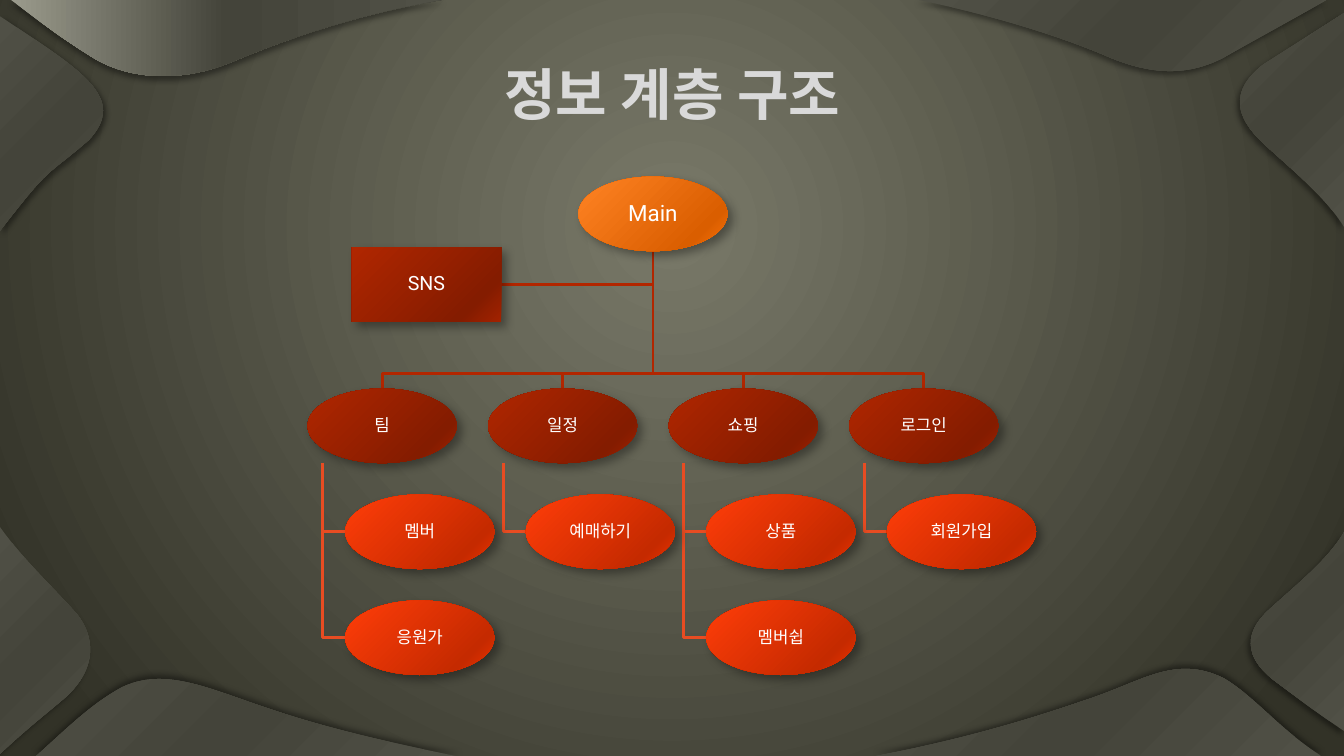
from pptx import Presentation
from pptx import util as u
from pptx.dml.color import RGBColor
from pptx.enum import shapes, text
from pptx.oxml import parse_xml
from pptx.oxml.ns import nsdecls, qn

NODE_W, NODE_H = 3.76, 1.88
COL_STEP, ROW_STEP, INDENT, STEM = 4.55, 2.67, 0.95, 0.38
ORANGE = [(0, "FF8324"), (80, "DA5E00"), (100, "FF750C")]
DARK_RED = [(0, "B02600"), (80, "841C00"), (100, "A22200")]
RED = [(0, "FF3D09"), (80, "C52A00"), (100, "F13300")]
GREY = [(0, "505046"), (50, "44443A"), (100, "505046")]
LIGHT_GREY = [(0, "9A9A8C"), (50, "44443A"), (100, "505046")]
SILVER = [(0, "FFFFFF"), (44, "D9D9D9"), (100, "808080")]
BACKDROP = [(0, "797969"), (100, "323227")]

CORNERS = [
    (LIGHT_GREY, 0, 90, [(0.28, 0), (11.13, 0), (8.89, 0.38, 7.14, 1.02, 5.87, 1.55),
                         (4.62, 2.08, 3.28, 2.03, 2.34, 1.45), (1.4, 0.86, 1.24, 0.71, 0.28, 0)]),
    (GREY, 45, 45, [(0, 0.41), (0, 2.21, 0, 4.01, 0, 5.82), (1.32, 4.11, 1.12, 4.5, 2.24, 3.53),
                    (3.23, 2.46, 2.06, 1.78, 0, 0.41)]),
    (GREY, 45, 130, [(33.43, 0), (23.16, 0), (25.12, 0.41, 26.8, 0.94, 27.97, 1.45),
                     (29.13, 1.93, 30.02, 1.88, 30.84, 1.45), (31.65, 0.99, 32.41, 0.58, 33.43, 0)]),
    (GREY, 45, 130, [(33.87, 0.33), (33.87, 2.13, 33.87, 3.91, 33.87, 5.72),
                     (33.4, 4.95, 32.49, 4.22, 31.8, 3.58),
                     (31.42, 3.2, 30.76, 2.46, 31.83, 1.63), (33.87, 0.33)]),
    (GREY, 45, 130, [(33.87, 18.42), (33.87, 16.74, 33.87, 15.09, 33.87, 13.41),
                     (33.46, 14.12, 32.61, 14.78, 31.95, 15.39),
                     (31.6, 15.72, 31.12, 16.38, 32.11, 17.15), (32.69, 17.58, 33.07, 17.88, 33.87, 18.42)]),
    (GREY, 45, 270, [(33.3, 19.05), (22.07, 19.05), (24.23, 18.64, 25.91, 18.14, 27.33, 17.65),
                     (28.75, 17.2, 29.59, 16.48, 30.84, 17.09), (31.62, 17.55, 32.26, 18.39, 33.3, 19.05)]),
    (GREY, 45, 270, [(0.89, 19.07), (11.58, 19.07), (8.97, 18.54, 7.72, 18.19, 6.4, 17.73),
                     (5.08, 17.27, 4.06, 16.84, 3.07, 17.32), (2.31, 17.73, 1.7, 18.34, 0.89, 19.07)]),
    (GREY, 45, 135, [(0, 19), (0, 17.09, 0, 15.19, 0, 13.28), (0.56, 14.07, 1.3, 14.76, 1.91, 15.44),
                     (2.24, 15.82, 2.62, 16.66, 1.68, 17.55), (1.12, 18.03, 0.76, 18.29, 0, 19)]),
]

SECTIONS = [
    ("팀", ["멤버", "응원가"]),
    ("일정", ["예매하기"]),
    ("쇼핑", ["상품", "멤버쉽"]),
    ("로그인", ["회원가입"]),
]


def rgb(value):
    return RGBColor.from_string(value)


def set_gradient(fill, element, stops, angle=None, focus=(0, 0, 100, 100)):
    fill.solid()
    gs = "".join(f'<a:gs pos="{pos * 1000}"><a:srgbClr val="{color}"/></a:gs>' for pos, color in stops)
    if angle is None:
        sides = " ".join(f'{side}="{v * 1000}"' for side, v in zip("ltrb", focus))
        shade = f'<a:path path="circle"><a:fillToRect {sides}/></a:path>'
    else:
        shade = f'<a:lin ang="{angle * 60000}" scaled="0"/>'
    solid = next(element.iter(qn("a:solidFill")))
    solid.getparent().replace(solid, parse_xml(
        f'<a:gradFill {nsdecls("a")} rotWithShape="1"><a:gsLst>{gs}</a:gsLst>{shade}</a:gradFill>'))


def set_shadow(sp, alpha, blur, dist, angle):
    sp.shadow.inherit = False
    sp.element.spPr.find(qn("a:effectLst")).append(parse_xml(
        f'<a:outerShdw {nsdecls("a")} blurRad="{u.Pt(blur)}" dist="{u.Pt(dist)}" dir="{angle * 60000}" '
        f'algn="ctr" rotWithShape="0"><a:srgbClr val="000000"><a:alpha val="{alpha * 1000}"/>'
        '</a:srgbClr></a:outerShdw>'))


def add_text(tf, content, size=12, font="Roboto", color="FFFFFF", bold=False, spacing=0.9):
    tf.word_wrap = True
    tf.vertical_anchor = text.MSO_ANCHOR.MIDDLE
    p = tf.paragraphs[0]
    p.alignment = text.PP_ALIGN.CENTER
    p.line_spacing = spacing
    r = p.add_run()
    r.text = content
    r.font.size, r.font.name, r.font.bold = u.Pt(size), font, bold
    r.font.color.rgb = rgb(color)
    return r


def add_outline(s, points, close):
    pts = [(u.Cm(x), u.Cm(y)) for x, y in points]
    builder = s.shapes.build_freeform(*pts[0])
    builder.add_line_segments(pts[1:], close=close)
    return builder.convert_to_shape()


def add_curved_outline(s, segments):
    points = [seg[i:i + 2] for seg in segments for i in range(0, len(seg), 2)]
    sp = add_outline(s, points, True)
    lines = iter(list(sp.element.iter(qn("a:lnTo"))))
    for seg in segments[1:]:
        line = next(lines)
        if len(seg) == 6:
            curve = parse_xml(f'<a:cubicBezTo {nsdecls("a")}/>')
            line.addprevious(curve)
            for part in (line, next(lines), next(lines)):
                curve.append(part[0])
                part.getparent().remove(part)
    return sp


def add_backdrop(prs, s):
    master = prs.slide_master
    set_gradient(master.background.fill, master.element, BACKDROP, focus=(50, 30, 50, 70))
    for stops, angle, shadow_angle, segments in CORNERS:
        sp = add_curved_outline(s, segments)
        set_gradient(sp.fill, sp.element, stops, angle)
        sp.line.fill.background()
        set_shadow(sp, 40, 4, 3, shadow_angle)
        master.shapes.element.append(sp.element)


def add_title(s, left, top, width, height):
    sp = s.shapes.title
    sp.left, sp.top, sp.width, sp.height = map(u.Cm, (left, top, width, height))
    r = add_text(sp.text_frame, "정보 계층 구조", size=40, font="Lato", bold=True, spacing=1)
    set_gradient(r.font.fill, sp.element, SILVER, 90)
    latin = next(sp.element.iter(qn("a:latin")))
    latin.addnext(parse_xml(f'<a:ea {nsdecls("a")} typeface="Roboto"/>'))


def add_branch(s, points, color):
    sp = add_outline(s, points, False)
    sp.fill.background()
    sp.line.color.rgb = rgb(color)
    sp.line.width = u.Pt(2)
    sp.shadow.inherit = False


def add_node(s, left, top, label, stops, size=12, kind=shapes.MSO_SHAPE.FLOWCHART_CONNECTOR):
    sp = s.shapes.add_shape(kind, *map(u.Cm, (left, top, NODE_W, NODE_H)))
    set_gradient(sp.fill, sp.element, stops)
    sp.line.fill.background()
    set_shadow(sp, 35, 7, 5, 45)
    tf = sp.text_frame
    tf.margin_left = tf.margin_right = tf.margin_top = tf.margin_bottom = u.Cm(0.03)
    add_text(tf, label, size=size)


def add_hierarchy(s, left, top):
    columns = [left + i * COL_STEP for i in range(len(SECTIONS))]
    center = (columns[0] + columns[-1] + NODE_W) / 2
    main_bottom, section_top = top + NODE_H, top + 5.34
    bar = section_top - 0.38
    section_bottom = section_top + NODE_H
    side_left, side_top = left + 1.12, top + 1.78
    side_middle = side_top + NODE_H / 2

    add_branch(s, [(center, main_bottom), (center, side_middle), (side_left + NODE_W, side_middle)], "B22600")
    for x, (_, children) in zip(columns, SECTIONS):
        middle = x + NODE_W / 2
        add_branch(s, [(center, main_bottom), (center, bar), (middle, bar), (middle, section_top)], "B22600")
        for row in range(1, len(children) + 1):
            y = section_top + row * ROW_STEP + NODE_H / 2
            add_branch(s, [(x + STEM, section_bottom), (x + STEM, y), (x + INDENT, y)], "E84C22")

    add_node(s, center - NODE_W / 2, top, "Main", ORANGE, size=16)
    for x, (section, children) in zip(columns, SECTIONS):
        add_node(s, x, section_top, section, DARK_RED)
        for row, child in enumerate(children, 1):
            add_node(s, x + INDENT, section_top + row * ROW_STEP, child, RED)
    add_node(s, side_left, side_top, "SNS", DARK_RED, size=14, kind=shapes.MSO_SHAPE.RECTANGLE)


def main():
    prs = Presentation()
    prs.slide_width, prs.slide_height = u.Cm(33.87), u.Cm(19.05)
    s = prs.slides.add_slide(prs.slide_layouts[5])
    add_backdrop(prs, s)
    add_title(s, 1.7, 0.76, 30.48, 3.18)
    add_hierarchy(s, 7.75, 4.45)
    prs.save("out.pptx")


if __name__ == "__main__":
    main()
